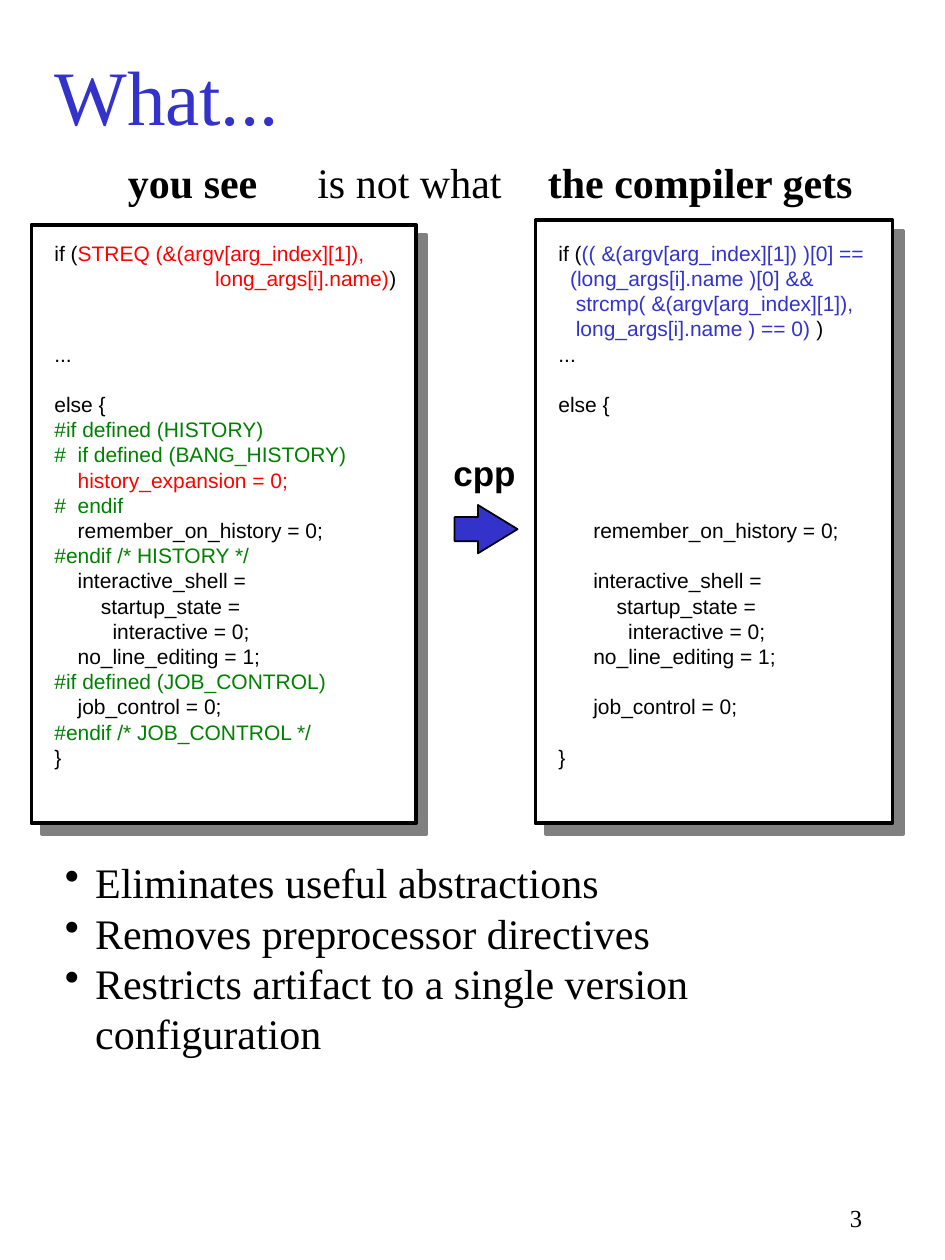
"""Build the slide that contrasts source code with what the compiler gets."""
import pptx
import pptx.dml.color
import pptx.enum.shapes
import pptx.enum.text
import pptx.oxml
import pptx.oxml.ns
import pptx.util

BLACK = pptx.dml.color.RGBColor(0x00, 0x00, 0x00)
WHITE = pptx.dml.color.RGBColor(0xFF, 0xFF, 0xFF)
RED = pptx.dml.color.RGBColor(0xFF, 0x00, 0x00)
GREEN = pptx.dml.color.RGBColor(0x00, 0x80, 0x00)
BLUE = pptx.dml.color.RGBColor(0x33, 0x33, 0xCC)
GRAY = pptx.dml.color.RGBColor(0x80, 0x80, 0x80)

ALIGN = pptx.enum.text.PP_ALIGN
ANCHOR = pptx.enum.text.MSO_ANCHOR
SHAPE = pptx.enum.shapes.MSO_SHAPE
NAMESPACE = pptx.oxml.ns.nsdecls("a")
LEADING = 1.2

deck = pptx.Presentation()
deck.slide_width = pptx.util.Inches(7.5)
deck.slide_height = pptx.util.Inches(10)
page = deck.slides.add_slide(deck.slide_layouts[6])
COLUMN = deck.slide_width / 90
ROW = deck.slide_height / 120


def grid(left, top, width, height):
    return [int(share) for share in (left * COLUMN, top * ROW, width * COLUMN, height * ROW)]


def write(place, lines, face, size, bold=False, align=ALIGN.LEFT, anchor=ANCHOR.TOP, wrap=True):
    box = page.shapes.add_textbox(*grid(*place))
    frame = box.text_frame
    for name, value in {"word_wrap": wrap, "vertical_anchor": anchor}.items():
        setattr(frame, name, value)
    pitch = pptx.util.Pt(size * LEADING)
    para, skipped = None, 0
    for line in lines:
        if not line:
            skipped += 1
            continue
        para = frame.add_paragraph() if para else frame.paragraphs[0]
        layout = {"alignment": align, "line_spacing": pitch, "space_before": skipped * pitch}
        for name, value in layout.items():
            setattr(para, name, value)
        skipped = 0
        for text, colour in line:
            span = para.add_run()
            span.text = text
            for name, value in {"name": face, "size": pptx.util.Pt(size), "bold": bold}.items():
                setattr(span.font, name, value)
            span.font.color.rgb = colour
    return frame.paragraphs


panels = [(51, 21, 34, 57.4), (3, 21.4, 36.6, 57)]
for place in panels:
    panel = page.shapes.add_shape(SHAPE.RECTANGLE, *grid(*place))
    panel.shadow.inherit = False
    panel.fill.solid()
    panel.fill.fore_color.rgb = WHITE
    panel.line.color.rgb = BLACK
    panel.line.width = pptx.util.Pt(2.25)
    effects = panel._element.spPr.find(pptx.oxml.ns.qn("a:effectLst"))
    effects.append(pptx.oxml.parse_xml(
        f'<a:outerShdw {NAMESPACE} blurRad="0" dist="{pptx.util.Pt(8.5)}" dir="2700000" '
        f'algn="ctr" rotWithShape="0"><a:srgbClr val="{GRAY}"/></a:outerShdw>'))

source_code = [
    [("if (", BLACK), ("STREQ (&(argv[arg_index][1]),", RED)],
    [("\t      long_args[i].name)", RED), (")", BLACK)],
    [],
    [],
    [("...", BLACK)],
    [],
    [("else {", BLACK)],
    [("#if defined (HISTORY)", GREEN)],
    [("#  if defined (BANG_HISTORY)", GREEN)],
    [("    ", BLACK), ("history_expansion = 0;", RED)],
    [("#  endif", GREEN)],
    [("    remember_on_history = 0;", BLACK)],
    [("#endif /* HISTORY */", GREEN)],
    [("    interactive_shell =", BLACK)],
    [("        startup_state =", BLACK)],
    [("          interactive = 0;", BLACK)],
    [("    no_line_editing = 1;", BLACK)],
    [("#if defined (JOB_CONTROL)", GREEN)],
    [("    job_control = 0;", BLACK)],
    [("#endif /* JOB_CONTROL */", GREEN)],
    [("}", BLACK)],
]
compiler_code = [
    [("if (", BLACK), ("(( &(argv[arg_index][1]) )[0] ==", BLUE)],
    [("  (long_args[i].name )[0] &&", BLUE)],
    [("   strcmp( &(argv[arg_index][1]),", BLUE)],
    [("   long_args[i].name ) == 0) ", BLUE), (")", BLACK)],
    [("...", BLACK)],
    [],
    [("else {", BLACK)],
    [],
    [],
    [],
    [],
    [("      remember_on_history = 0;", BLACK)],
    [],
    [("      interactive_shell =", BLACK)],
    [("          startup_state =", BLACK)],
    [("            interactive = 0;", BLACK)],
    [("      no_line_editing = 1;", BLACK)],
    [],
    [("      job_control = 0;", BLACK)],
    [],
    [("}", BLACK)],
]
source_paras = write((4, 22.3, 36.2, 51.6), source_code, "Arial", 12)
source_paras[1]._p.get_or_add_pPr().append(pptx.oxml.parse_xml(
    f'<a:tabLst {NAMESPACE}><a:tab pos="{pptx.util.Inches(1)}" algn="l"/></a:tabLst>'))
write((52, 22.3, 32, 51.6), compiler_code, "Arial", 12)

arrow = page.shapes.add_shape(SHAPE.RIGHT_ARROW, *grid(43.3, 48.1, 6, 4.6))
arrow.shadow.inherit = False
arrow.adjustments[0] = 0.5
arrow.adjustments[1] = 0.82
arrow.fill.solid()
arrow.fill.fore_color.rgb = BLUE
arrow.line.color.rgb = BLACK
arrow.line.width = pptx.util.Pt(1)
write((42, 42.4, 8.4, 5.2), [[("cpp", BLACK)]], "Arial", 20, bold=True, wrap=False)

headings = [
    ("you see", 11, 14.8, True, ALIGN.LEFT),
    ("is not what", 29, 20, False, ALIGN.CENTER),
    ("the compiler gets", 51, 31.4, True, ALIGN.RIGHT),
]
for text, left, width, bold, align in headings:
    write((left, 14.3, width, 6), [[(text, BLACK)]], "Times New Roman", 24,
          bold, align, ANCHOR.MIDDLE, wrap=False)

write((4, 3, 76.4, 12), [[("What...", BLUE)]], "Times New Roman", 44, anchor=ANCHOR.MIDDLE)

points = [
    "Eliminates useful abstractions",
    "Removes preprocessor directives",
    "Restricts artifact to a single version configuration",
]
point_paras = write((5, 81, 76, 20.4), [[(text, BLACK)] for text in points],
                    "Times New Roman", 24, anchor=ANCHOR.MIDDLE)
indent = pptx.util.Inches(0.24)
for para in point_paras:
    props = para._p.get_or_add_pPr()
    for name, value in {"marL": indent, "indent": -indent}.items():
        props.set(name, str(value))
    props.append(pptx.oxml.parse_xml(
        f'<a:buClr {NAMESPACE}><a:srgbClr val="{BLACK}"/></a:buClr>'))
    props.append(pptx.oxml.parse_xml(f'<a:buChar {NAMESPACE} char="•"/>'))

write((64.6, 114, 18.7, 3.4), [[("3", BLACK)]], "Times New Roman", 14, align=ALIGN.RIGHT)

deck.save("out.pptx")
